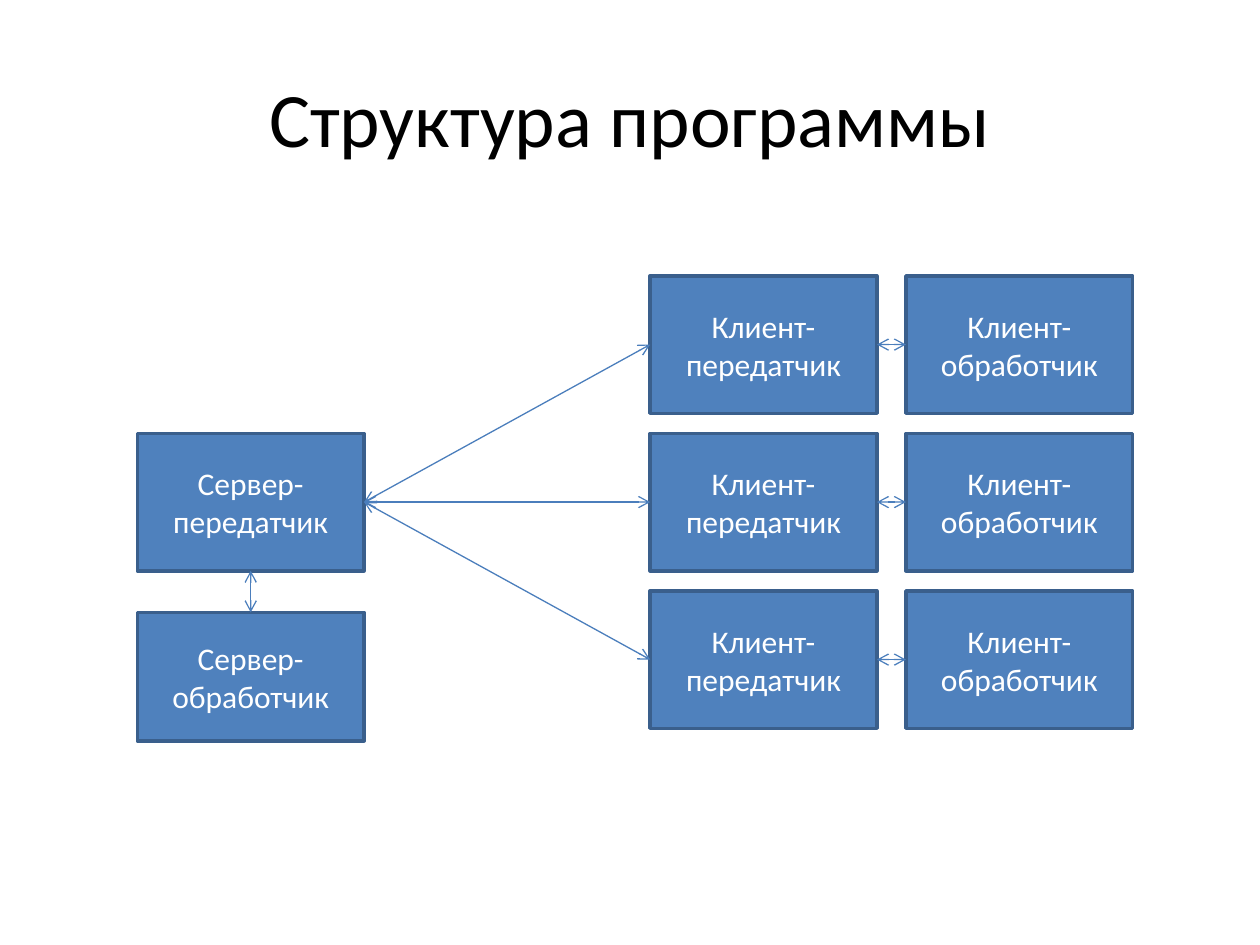
"""Build a slide showing the server and client parts of a program and their links."""
from lxml import etree
from pptx import Presentation
from pptx import util as u
from pptx.dml.color import RGBColor
from pptx.enum import shapes, text
from pptx.oxml.ns import qn

TITLE = "Структура программы"
SERVER_SENDER, SERVER_HANDLER = "Сервер-передатчик", "Сервер-обработчик"
CLIENT_SENDER, CLIENT_HANDLER = "Клиент-передатчик", "Клиент-обработчик"
CLIENT_COUNT = 3

FONT = "Calibri"
BOX_FILL, BOX_EDGE, LINK = "4F81BD", "3A5F8C", "4B7EBC"
BOX_WIDTH, BOX_HEIGHT, HANDLER_HEIGHT = 1.8, 1.09, 1.02
SERVER_LEFT, SENDER_LEFT, HANDLER_LEFT = 1.09, 5.16, 7.19
CLIENT_TOP, CLIENT_PITCH = 2.19, 1.25
SERVER_TOP = CLIENT_TOP + CLIENT_PITCH
SERVER_HANDLER_TOP = 4.86
TOP, LEFT, BOTTOM, RIGHT = range(4)


def rgb(value):
    return RGBColor.from_string(value)


def write(frame, wording, size, color):
    frame.text = wording
    frame.word_wrap = True
    frame.vertical_anchor = text.MSO_ANCHOR.MIDDLE
    paragraph = frame.paragraphs[0]
    paragraph.alignment = text.PP_ALIGN.CENTER
    font = paragraph.runs[0].font
    font.name, font.size = FONT, u.Pt(size)
    font.color.rgb = rgb(color)


def add_box(slide, wording, left, top, height=BOX_HEIGHT):
    box = slide.shapes.add_shape(
        shapes.MSO_SHAPE.RECTANGLE, u.Inches(left), u.Inches(top),
        u.Inches(BOX_WIDTH), u.Inches(height))
    box.shadow.inherit = False
    box.fill.solid()
    box.fill.fore_color.rgb = rgb(BOX_FILL)
    box.line.color.rgb = rgb(BOX_EDGE)
    box.line.width = u.Pt(2)
    write(box.text_frame, wording, 18, "FFFFFF")
    return box


def add_link(slide, start, start_side, end, end_side):
    link = slide.shapes.add_connector(shapes.MSO_CONNECTOR.STRAIGHT, 0, 0, 0, 0)
    link.begin_connect(start, start_side)
    link.end_connect(end, end_side)
    link.line.color.rgb = rgb(LINK)
    link.line.width = u.Pt(0.75)
    outline = link.line._get_or_add_ln()
    for tag in ("a:headEnd", "a:tailEnd"):
        etree.SubElement(outline, qn(tag), type="arrow")
    etree.SubElement(link._element.spPr, qn("a:effectLst"))


def main():
    deck = Presentation()
    deck.slide_width, deck.slide_height = u.Inches(10), u.Inches(7.5)
    slide = deck.slides.add_slide(deck.slide_layouts[5])

    title = slide.shapes.title
    title.left, title.top = u.Inches(0.5), u.Inches(0.3)
    title.width, title.height = u.Inches(9), u.Inches(1.25)
    write(title.text_frame, TITLE, 44, "000000")

    server = add_box(slide, SERVER_SENDER, SERVER_LEFT, SERVER_TOP)
    server_handler = add_box(
        slide, SERVER_HANDLER, SERVER_LEFT, SERVER_HANDLER_TOP, HANDLER_HEIGHT)
    add_link(slide, server, BOTTOM, server_handler, TOP)

    for row in range(CLIENT_COUNT):
        top = CLIENT_TOP + row * CLIENT_PITCH
        client = add_box(slide, CLIENT_SENDER, SENDER_LEFT, top)
        client_handler = add_box(slide, CLIENT_HANDLER, HANDLER_LEFT, top)
        add_link(slide, client, RIGHT, client_handler, LEFT)
        add_link(slide, server, RIGHT, client, LEFT)

    deck.save("out.pptx")


if __name__ == "__main__":
    main()
